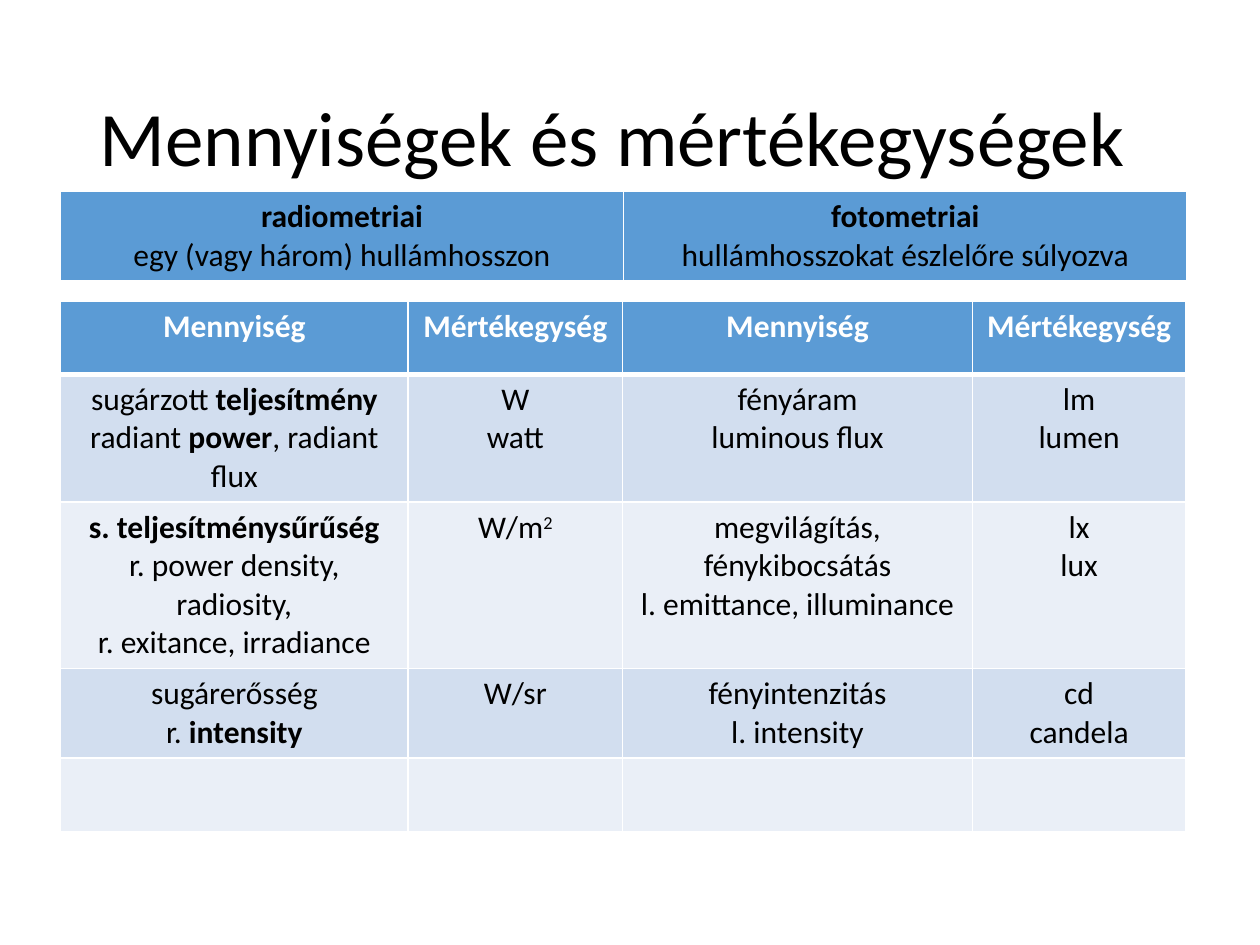
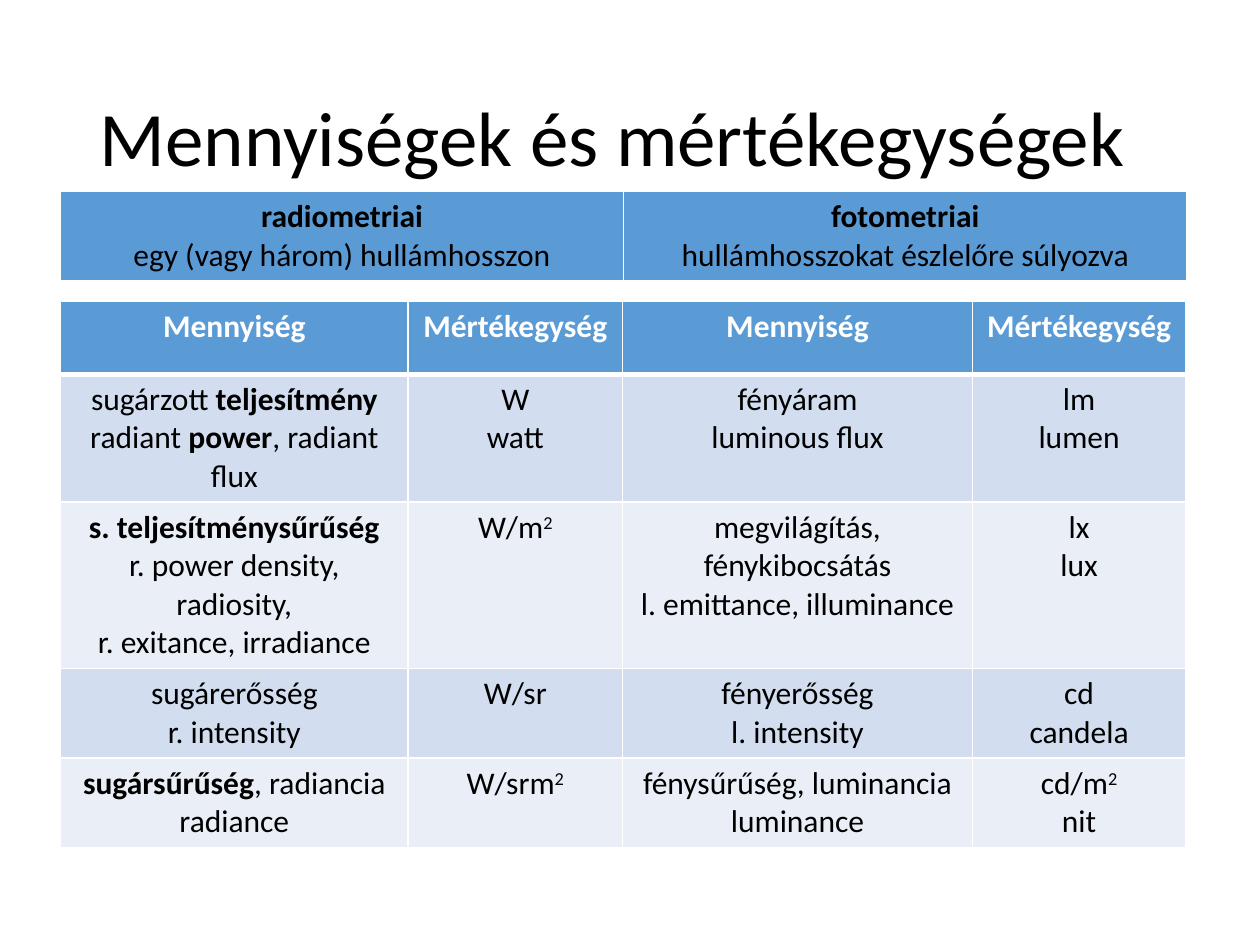
from lxml import etree
from pptx import Presentation
from pptx.dml.color import RGBColor
from pptx.enum import text
from pptx.oxml import ns
from pptx.util import Inches, Pt

FONT = "Calibri"
BLACK = RGBColor(0x00, 0x00, 0x00)
WHITE = RGBColor(0xFF, 0xFF, 0xFF)
HEADER_BLUE = RGBColor(0x5B, 0x9B, 0xD5)
BAND_FILLS = (RGBColor(0xD2, 0xDE, 0xEF), RGBColor(0xEA, 0xEF, 0xF7))

TITLE = "Mennyiségek és mértékegységek"
TITLE_BOX = (0.69, 0.4, 8.62, 1.45)
TABLE_LEFT = 0.48
SYSTEMS_TOP, QUANTITIES_TOP = 1.52, 2.39
SYSTEM_WIDTHS, SYSTEM_HEIGHTS = (4.47, 4.47), (0.72,)
QUANTITY_WIDTHS = (2.76, 1.7, 2.78, 1.69)
QUANTITY_HEIGHTS = (0.58, 0.65, 0.58, 0.58, 0.58)

# In cell texts, *...* is bold and ^ starts a superscript.
SYSTEMS = [("*radiometriai*\negy (vagy három) hullámhosszon",
            "*fotometriai*\nhullámhosszokat észlelőre súlyozva")]
COMMON_ROWS = [
    ("*Mennyiség*", "*Mértékegység*") * 2,
    ("sugárzott *teljesítmény*\nradiant *power*, radiant flux", "W\nwatt",
     "fényáram\nluminous flux", "lm\nlumen"),
    ("*s. teljesítménysűrűség*\nr. power density, radiosity,\nr. exitance, irradiance",
     "W/m^2", "megvilágítás, fénykibocsátás\nl. emittance, illuminance", "lx\nlux"),
]
INTENSITY_ONLY = [
    ("sugárerősség\nr. *intensity*", "W/sr", "fényintenzitás\nl. intensity", "cd\ncandela"),
    ("",) * 4,
]
INTENSITY_AND_RADIANCE = [
    ("sugárerősség\nr. intensity", "W/sr", "fényerősség\nl. intensity", "cd\ncandela"),
    ("*sugársűrűség*, radiancia\nradiance", "W/srm^2",
     "fénysűrűség, luminancia\nluminance", "cd/m^2\nnit"),
]


def add_runs(paragraph, line):
    """Split a marked-up line into plain, bold and superscript runs."""
    for bold, part in enumerate(line.split("*")):
        for raised, piece in enumerate(part.split("^")):
            if piece:
                run = paragraph.add_run()
                run.text = piece
                run.font.bold = bold % 2 == 1
                if raised:
                    run._r.get_or_add_rPr().set("baseline", "30000")


def fill_cell(cell, content, color):
    frame = cell.text_frame
    for index, line in enumerate(content.split("\n")):
        paragraph = frame.add_paragraph() if index else frame.paragraphs[0]
        paragraph.alignment = text.PP_ALIGN.CENTER
        paragraph.font.name = FONT
        paragraph.font.size = Pt(18)
        paragraph.font.color.rgb = color
        add_runs(paragraph, line)


def add_borders(cell, is_header):
    """Draw white cell borders, with a thick rule under a header."""
    widths = {"lnL": 1, "lnR": 1, "lnT": 1, "lnB": 3 if is_header else 1}
    if not is_header:
        del widths["lnT"]
    properties = cell._tc.get_or_add_tcPr()
    for side, width in widths.items():
        line = etree.SubElement(properties, ns.qn(f"a:{side}"), w=str(Pt(width)))
        solid = etree.SubElement(line, ns.qn("a:solidFill"))
        etree.SubElement(solid, ns.qn("a:srgbClr"), val=str(WHITE))


def add_grid(slide, top, widths, heights, rows, header_color):
    """Add a centred table whose first row is its header."""
    table = slide.shapes.add_table(
        len(rows), len(widths), Inches(TABLE_LEFT), Inches(top),
        Inches(sum(widths)), Inches(sum(heights))).table
    for column, width in zip(table.columns, widths):
        column.width = Inches(width)
    for row_index, (row, height, contents) in enumerate(zip(table.rows, heights, rows)):
        row.height = Inches(height)
        is_header = row_index == 0
        for cell, content in zip(row.cells, contents):
            add_borders(cell, is_header)
            cell.fill.solid()
            cell.fill.fore_color.rgb = (
                HEADER_BLUE if is_header else BAND_FILLS[(row_index - 1) % 2])
            fill_cell(cell, content, header_color if is_header else BLACK)


def set_title(slide):
    title = slide.shapes.title
    title.left, title.top, title.width, title.height = map(Inches, TITLE_BOX)
    title.text_frame.text = TITLE
    title.text_frame.vertical_anchor = text.MSO_ANCHOR.MIDDLE
    paragraph = title.text_frame.paragraphs[0]
    paragraph.alignment = text.PP_ALIGN.LEFT
    paragraph.line_spacing = 0.9
    paragraph.font.name = FONT
    paragraph.font.size = Pt(44)
    paragraph.font.color.rgb = BLACK


def add_units_slide(presentation, last_rows):
    slide = presentation.slides.add_slide(presentation.slide_layouts.get_by_name("Title Only"))
    set_title(slide)
    add_grid(slide, QUANTITIES_TOP, QUANTITY_WIDTHS, QUANTITY_HEIGHTS,
             COMMON_ROWS + last_rows, WHITE)
    add_grid(slide, SYSTEMS_TOP, SYSTEM_WIDTHS, SYSTEM_HEIGHTS, SYSTEMS, BLACK)


def main():
    presentation = Presentation()
    presentation.slide_width, presentation.slide_height = Inches(10), Inches(7.5)
    for last_rows in (INTENSITY_ONLY, INTENSITY_AND_RADIANCE):
        add_units_slide(presentation, last_rows)
    presentation.save("out.pptx")


if __name__ == "__main__":
    main()
